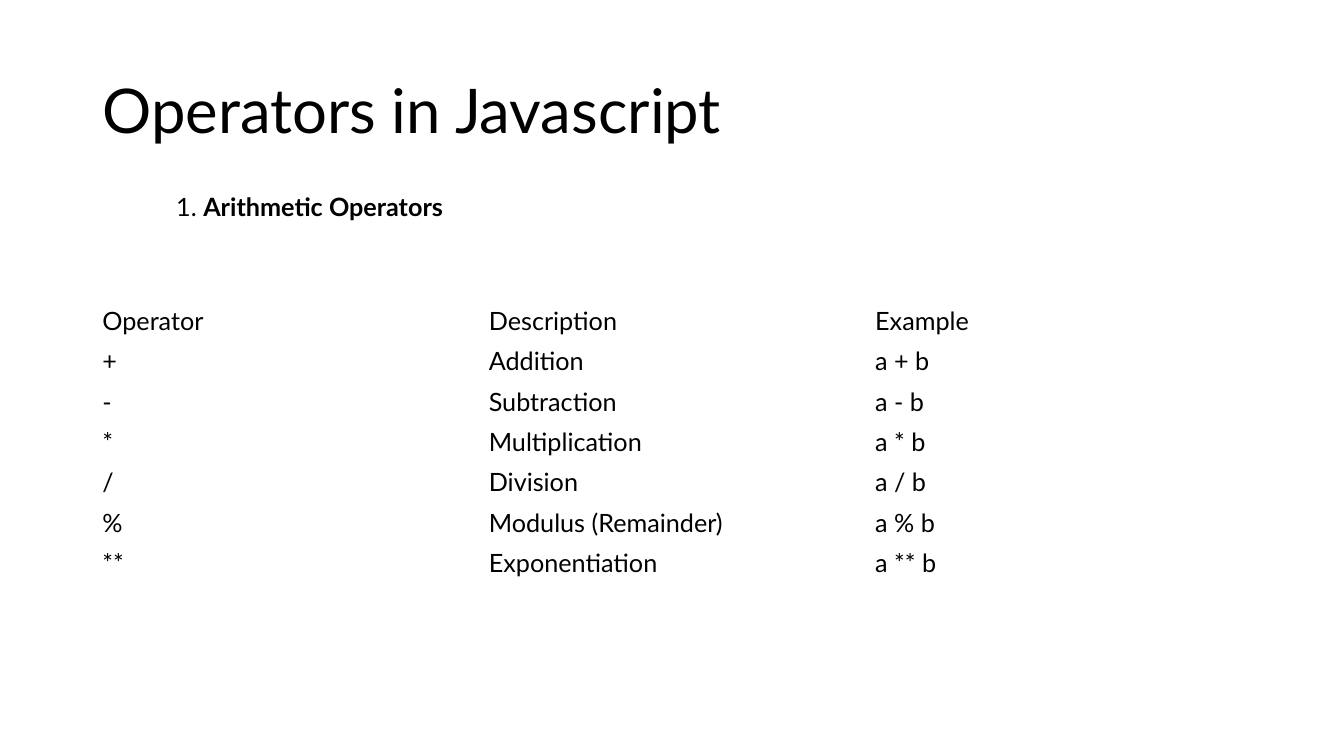
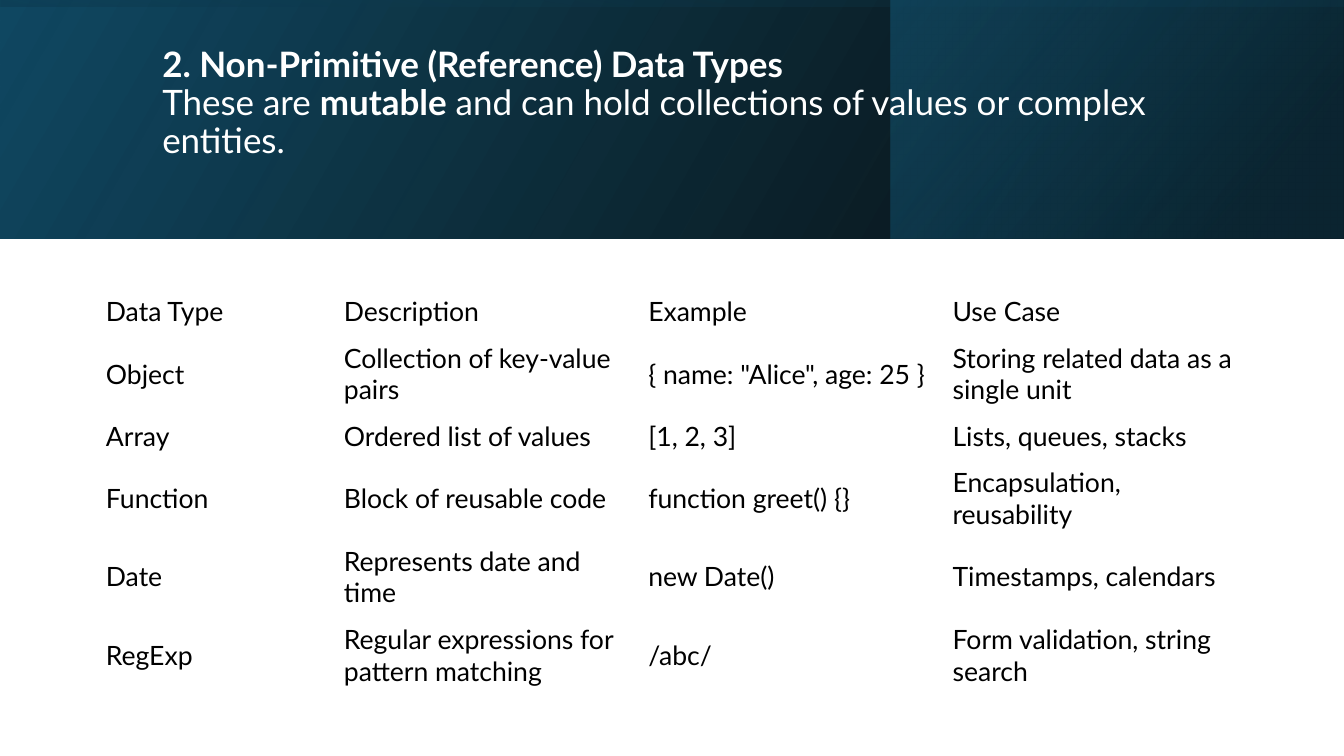
from pptx import Presentation
from pptx.dml.color import RGBColor
from pptx.enum.shapes import MSO_SHAPE
from pptx.enum.text import MSO_ANCHOR, MSO_AUTO_SIZE, PP_ALIGN
from pptx.oxml.ns import qn
from pptx.util import Pt
from lxml import etree

BLACK = RGBColor(0x00, 0x00, 0x00)
WHITE = RGBColor(0xFF, 0xFF, 0xFF)
NAVY = RGBColor(0x10, 0x48, 0x62)
DEEP = RGBColor(0x0B, 0x30, 0x41)
TEAL = RGBColor(0x15, 0x60, 0x82)

RECT = MSO_SHAPE.RECTANGLE
TOP, MIDDLE = MSO_ANCHOR.TOP, MSO_ANCHOR.MIDDLE
LEFT = PP_ALIGN.LEFT
NO_FIT, GROW = MSO_AUTO_SIZE.NONE, MSO_AUTO_SIZE.SHAPE_TO_FIT_TEXT

FONT = "Lato"
TITLE_ONLY = 5
PLAIN_TABLE = "{2D5ABB26-0587-4C30-8999-92F81FD0307C}"
WIDTH, HEIGHT = 960, 540
BAND_H = 170.6


class Deck:
    """Holds the shared style and the slide being built."""

    def __init__(self):
        self.prs = Presentation()
        self.prs.slide_width, self.prs.slide_height = Pt(WIDTH), Pt(HEIGHT)
        self.s = None

    def slide(self):
        self.s = self.prs.slides.add_slide(self.prs.slide_layouts[TITLE_ONLY])

    def add_runs(self, p, runs, size, color=BLACK):
        """Fill a paragraph with (text, bold) runs; None breaks the line."""
        p.alignment = LEFT
        for run in runs:
            if run is None:
                p.add_line_break()
                continue
            r = p.add_run()
            r.text, r.font.bold = run
            r.font.name, r.font.size = FONT, Pt(size)
            r.font.color.rgb = color

    def title(self, box, runs, size, color=BLACK, anchor=MIDDLE, inset=3.6):
        sp = self.s.shapes.title
        sp.left, sp.top, sp.width, sp.height = map(Pt, box)
        tf = sp.text_frame
        tf.word_wrap, tf.auto_size = True, NO_FIT
        tf.vertical_anchor, tf.margin_top = anchor, Pt(inset)
        p = tf.paragraphs[0]
        p.line_spacing = 0.9
        self.add_runs(p, runs, size, color)
        # Keep the title in front of the bands
        self.s.shapes.element.append(sp.element)

    def text(self, box, runs, size):
        tf = self.s.shapes.add_textbox(*map(Pt, box)).text_frame
        tf.word_wrap, tf.auto_size = True, GROW
        self.add_runs(tf.paragraphs[0], runs, size)

    def band(self, box, stops, angle, rotation=0):
        """Mirrored rectangle; stops are (position, colour, opacity %)."""
        sp = self.s.shapes.add_shape(RECT, *map(Pt, box))
        sp.shadow.inherit = False
        sp.rotation = rotation
        sp.line.fill.background()
        sp.fill.gradient()
        sp.fill.gradient_angle = angle
        for stop, (position, color, _) in zip(sp.fill.gradient_stops, stops):
            stop.position, stop.color.rgb = position, color
        spPr = sp.element.spPr
        spPr.find(qn("a:xfrm")).set("flipH", "1")
        for clr, (_, _, opacity) in zip(spPr.iter(qn("a:srgbClr")), stops):
            etree.SubElement(clr, qn("a:alpha")).set("val", str(opacity * 1000))

    def table(self, left, top, widths, heights, rows, size, inset=(7.2, 3.6)):
        frame = self.s.shapes.add_table(len(rows), len(widths), Pt(left), Pt(top),
                                        Pt(sum(widths)), Pt(sum(heights)))
        tbl = frame.table
        tbl.first_row = tbl.horz_banding = False
        frame.element.find(".//" + qn("a:tableStyleId")).text = PLAIN_TABLE
        for col, width in zip(tbl.columns, widths):
            col.width = Pt(width)
        for row, height, texts in zip(tbl.rows, heights, rows):
            row.height = Pt(height)
            for cell, text in zip(row.cells, texts):
                cell.fill.background()
                cell.vertical_anchor = MIDDLE
                cell.margin_left = cell.margin_right = Pt(inset[0])
                cell.margin_top = cell.margin_bottom = Pt(inset[1])
                self.add_runs(cell.text_frame.paragraphs[0], [(text, False)], size)


OPERATORS = [
    ("Operator", "Description", "Example"),
    ("+", "Addition", "a + b"),
    ("-", "Subtraction", "a - b"),
    ("*", "Multiplication", "a * b"),
    ("/", "Division", "a / b"),
    ("%", "Modulus (Remainder)", "a % b"),
    ("**", "Exponentiation", "a ** b"),
]

DATA_TYPES = [
    ("Data Type", "Description", "Example", "Use Case"),
    ("Object", "Collection of key-value pairs", '{ name: "Alice", age: 25 }',
     "Storing related data as a single unit"),
    ("Array", "Ordered list of values", "[1, 2, 3]", "Lists, queues, stacks"),
    ("Function", "Block of reusable code", "function greet() {}",
     "Encapsulation, reusability"),
    ("Date", "Represents date and time", "new Date()", "Timestamps, calendars"),
    ("RegExp", "Regular expressions for pattern matching", "/abc/",
     "Form validation, string search"),
]


def operators(deck):
    deck.slide()
    deck.title((66, 28.75, 828, 104.4), [("Operators in Javascript", False)], 44)
    deck.table(66, 214.6, [276] * 3, [28.8] * len(OPERATORS), OPERATORS, 18)
    deck.text((118.8, 133.2, 480, 29),
              [("1. ", False), ("Arithmetic Operators", True)], 18)


def data_types(deck):
    deck.slide()
    # Layered gradient header
    deck.band((0, 0, WIDTH, BAND_H), [(0, BLACK, 96), (1, NAVY, 100)], 30)
    deck.band((636.5, 0, 323, BAND_H), [(0.19, DEEP, 68), (1, TEAL, 48)], 40)
    offset = (WIDTH - BAND_H) / 2
    deck.band((offset, -offset, BAND_H, WIDTH),
              [(0.23, NAVY, 16), (0.99, BLACK, 45)], 10, rotation=270)
    deck.title((108.7, 27.4, 765.4, 123.8),
               [("2. Non-Primitive (Reference) Data Types", True), None,
                ("These are ", False), ("mutable", True),
                (" and can hold collections of values or complex entities.", False)],
               25, WHITE, TOP, 6.4)
    # Reference types
    deck.table(67.7, 206, [170, 217.4, 217.4, 221], [33, 56, 33, 56, 56, 56],
               DATA_TYPES, 19, (8, 4))


def main():
    deck = Deck()
    operators(deck)
    data_types(deck)
    deck.prs.save("out.pptx")


if __name__ == "__main__":
    main()
